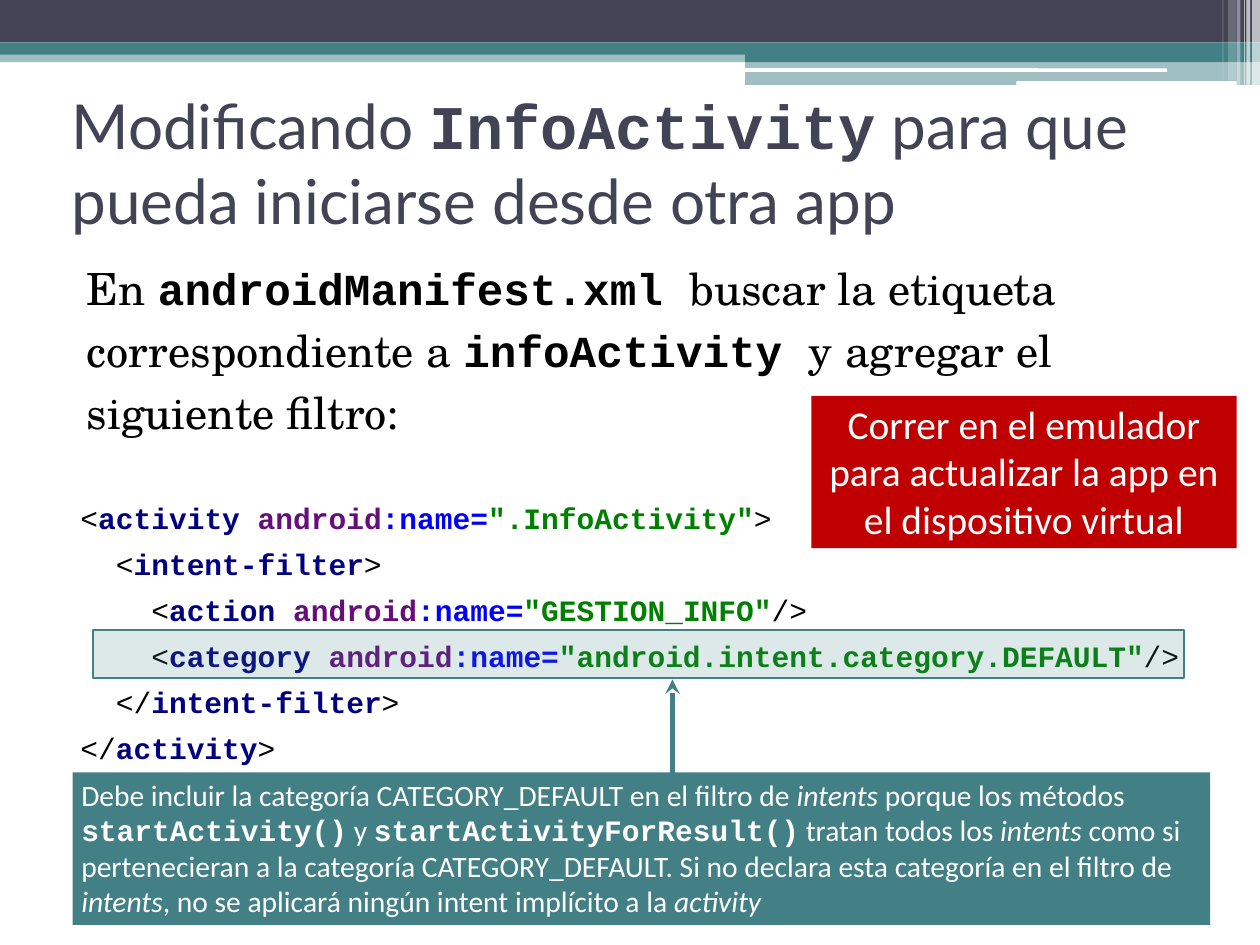
from dataclasses import dataclass

from lxml.etree import SubElement
from pptx import Presentation
from pptx.dml.color import RGBColor
from pptx.enum.shapes import MSO_CONNECTOR, MSO_SHAPE
from pptx.enum.text import MSO_ANCHOR, PP_ALIGN
from pptx.oxml.ns import qn
from pptx.util import Pt


@dataclass(frozen=True)
class Theme:
    """Colours, fonts and type sizes of the slide."""
    dark: str = "424456"
    teal: str = "438086"
    red: str = "C00000"
    white: str = "FFFFFF"
    black: str = "000000"
    navy: str = "000080"
    plum: str = "660E7A"
    blue: str = "0000FF"
    green: str = "008000"
    head: str = "Lato"
    serif: str = "TeX Gyre Schola"
    sans: str = "Calibri"
    mono: str = "Courier New"
    title: float = 50.4
    body: float = 36
    alert: float = 32
    note: float = 24


class Deck:
    """Holds the style and the current slide, and draws on it."""

    def __init__(self, style, wide, high):
        self.style = style
        self.show = Presentation()
        self.show.slide_width, self.show.slide_height = Pt(wide), Pt(high)
        self.slide = self.show.slides.add_slide(self.show.slide_layouts[6])

    def box(self, spot, fill, alpha=100, edge=None, kind=MSO_SHAPE.RECTANGLE):
        """Draw a filled shape at left, top, width, height."""
        shape = self.slide.shapes.add_shape(kind, *map(Pt, spot))
        shape.shadow.inherit = False
        shape.fill.solid()
        shape.fill.fore_color.rgb = RGBColor.from_string(fill)
        if alpha < 100:
            tint = shape._element.spPr.find(".//" + qn("a:srgbClr"))
            SubElement(tint, qn("a:alpha"), val=str(alpha * 1000))
        if edge:
            shape.line.color.rgb = RGBColor.from_string(edge)
            shape.line.width = Pt(1.5)
        else:
            shape.line.fill.background()
        return shape

    def label(self, spot):
        """Add an empty text box."""
        return self.slide.shapes.add_textbox(*map(Pt, spot))

    def put(self, shape, runs, base, frame=None, para=None):
        """Fill a shape with runs of text and format changes."""
        body = shape.text_frame
        part = body.paragraphs[0]
        start = {"word_wrap": True, "vertical_anchor": MSO_ANCHOR.TOP}
        layout = {"alignment": PP_ALIGN.LEFT}
        for item, values in ((body, start | (frame or {})),
                             (part, layout | (para or {}))):
            for name, value in values.items():
                setattr(item, name, value)
        for text, change in runs:
            for count, piece in enumerate(text.split("\n")):
                if count:
                    part.add_line_break()
                run = part.add_run()
                run.text = piece
                look = base | change
                run.font.color.rgb = RGBColor.from_string(look.pop("ink"))
                for name, value in look.items():
                    setattr(run.font, name, value)

    def arrow(self, start, end, ink, width):
        """Draw a line with an arrowhead at its end."""
        line = self.slide.shapes.add_connector(
            MSO_CONNECTOR.STRAIGHT, *map(Pt, start + end))
        line.line.color.rgb = RGBColor.from_string(ink)
        line.line.width = Pt(width)
        edge = line._element.spPr.find(qn("a:ln"))
        SubElement(edge, qn("a:tailEnd"), type="stealth")
        SubElement(line._element.spPr, qn("a:effectLst"))


def banner(deck):
    """Draw the bands and stripes along the top edge."""
    look = deck.style
    for spot, ink, alpha in (
            ((0, 41, 1024, 9.5), look.teal, 50),
            ((0, 0, 1024, 34.5), look.dark, 100),
            ((0, 34.5, 1024, 10), look.teal, 100),
            ((605.5, 40.3, 418.5, 10), look.teal, 100),
            ((605.5, 49, 418.5, 20), look.teal, 50)):
        deck.box(spot, ink, alpha)
    for spot in ((605.5, 55.5, 343, 3), (826, 66, 179, 4.5)):
        deck.box(spot, look.white, kind=MSO_SHAPE.ROUNDED_RECTANGLE)
    for left, wide, high, alpha in (
            (1017.5, 6.5, 70, 65), (1013, 3, 70, 65), (1011, 0.7, 70, 60),
            (1005, 3, 70, 40), (998, 6.5, 65.5, 20), (993.6, 0.7, 65.5, 30)):
        deck.box((left, 0, wide, high), look.white, alpha)


def code(look):
    """Return the coloured runs of the filter code."""
    def bold(ink):
        return {"bold": True, "ink": ink}

    def pair(name, value):
        return [(name + " ", bold(look.navy)), ("android", bold(look.plum)),
                (":name=", bold(look.blue)), (f'"{value}"', bold(look.green))]

    def tag(name):
        return [(name, bold(look.navy))]

    def plain(text):
        return [(text, {})]

    return (plain("<") + pair("activity", ".InfoActivity")
            + plain(">\n  <") + tag("intent-filter")
            + plain(">\n    <") + pair("action", "GESTION_INFO")
            + plain("/>\n    <")
            + pair("category", "android.intent.category.DEFAULT")
            + plain("/>\n  </") + tag("intent-filter")
            + plain(">\n</") + tag("activity") + plain(">"))


def main():
    """Build the slide and save it."""
    look = Theme()
    deck = Deck(look, 1024, 768)
    mono = {"name": look.mono, "bold": True}
    slant = {"italic": True}
    middle = {"vertical_anchor": MSO_ANCHOR.MIDDLE}

    def font(name, size, ink):
        return {"name": name, "size": Pt(size), "ink": ink}

    banner(deck)
    deck.put(deck.label((51, 72, 921.6, 119.5)), [
        ("Modificando ", {}), ("InfoActivity", mono),
        (" para que pueda iniciarse desde otra app", {}),
    ], font(look.head, look.title, look.dark), middle)

    deck.put(deck.label((51, 202.3, 920, 170)), [
        ("En ", {}), ("androidManifest.xml ", mono),
        ("buscar la etiqueta correspondiente a ", {}),
        ("infoActivity ", mono), ("y agregar el siguiente filtro:", {}),
    ], font(look.serif, look.body, look.black),
        {"margin_left": Pt(19.4)}, {"line_spacing": Pt(50)})

    deck.put(deck.box((58.3, 393.1, 924.5, 234), look.white), code(look),
             font(look.mono, look.note, look.black), middle,
             {"line_spacing": 1.3})

    deck.arrow((546.5, 641.5), (546.5, 552.2), look.teal, 4)
    deck.put(deck.box((59, 627.8, 924.5, 123.8), look.teal), [
        ("Debe incluir la categoría CATEGORY_DEFAULT en el filtro de ", {}),
        ("intents", slant), (" porque los métodos ", {}),
        ("startActivity()", mono), (" y ", {}),
        ("startActivityForResult()", mono), (" tratan todos los ", {}),
        ("intents", slant),
        (" como si pertenecieran a la categoría CATEGORY_DEFAULT. "
         "Si no declara esta categoría en el filtro de ", {}),
        ("intents", slant),
        (", no se aplicará ningún intent implícito a la ", {}),
        ("activity", slant),
    ], font(look.sans, look.note, look.white))
    deck.box((75.6, 511.9, 886.3, 38.9), look.teal, 18, look.teal)

    deck.put(deck.box((659.5, 321.8, 345.6, 123.8), look.red), [
        ("Correr en el emulador para actualizar la app en "
         "el dispositivo virtual", {}),
    ], font(look.sans, look.alert, look.white),
        para={"alignment": PP_ALIGN.CENTER})
    deck.show.save("out.pptx")


if __name__ == "__main__":
    main()
